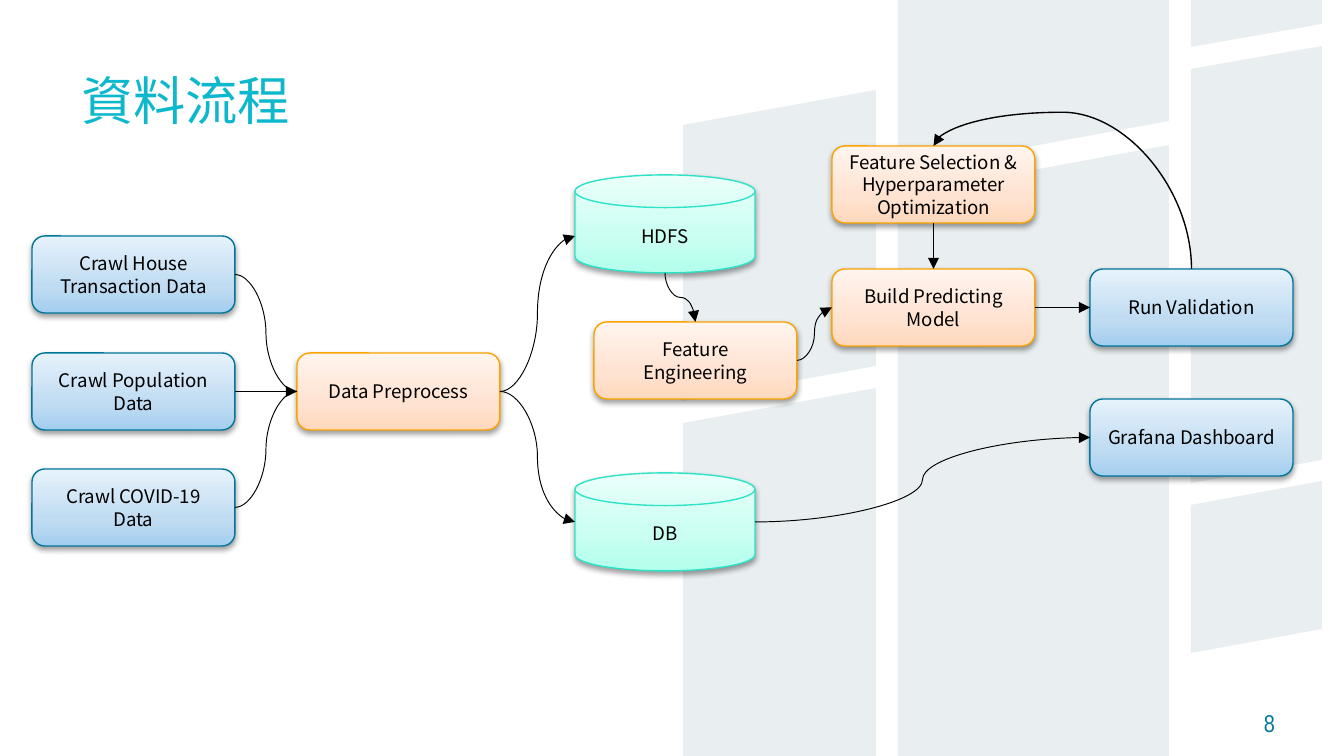
from copy import deepcopy

from lxml.etree import SubElement
from pptx import Presentation
from pptx.dml.color import RGBColor
from pptx.enum.shapes import MSO_CONNECTOR, MSO_SHAPE
from pptx.enum.text import MSO_ANCHOR, MSO_AUTO_SIZE, PP_ALIGN
from pptx.oxml.ns import qn
from pptx.util import Emu, Pt

SCALE = 9144000 / 1344
BOX_WIDTH, BOX_HEIGHT = 203, 77
DISK_WIDTH, DISK_HEIGHT = 180, 98
TOP, LEFT, BOTTOM, RIGHT = range(4)

BLUE = ("00769B", ("A4CEEF", "C0DCF2", "E6F2FB"))
ORANGE = ("FDA300", ("FFD8BD", "FFE3D1", "FFF4EE"))
GREEN = ("2DE3C7", ("B2FFEC", "C8FFF1", "EAFFFA"))


def px(length):
    """Turn px into EMU."""
    return Emu(round(length * SCALE))


def color(value):
    """Turn a hex string into a colour."""
    return RGBColor.from_string(value)


def apply(target, **values):
    """Set attributes from format values."""
    for name, value in values.items():
        setattr(target, name, value)


class FlowSlide:
    """Style and current slide of the data flow."""

    label_font = "Noto Sans CJK TC"
    title_font = "Noto Sans CJK SC"
    number_font = "Arial Narrow"
    text_color = "000000"
    panel_color = "E9EEF0"

    def __init__(self, presentation):
        """Add a slide that holds only a title."""
        self.slide = presentation.slides.add_slide(presentation.slide_layouts[5])
        self.shapes = self.slide.shapes

    def set_text(self, shape, text, size, font, hex_color, spacing=None,
                 align=PP_ALIGN.CENTER, anchor=MSO_ANCHOR.MIDDLE, side=0, top=0):
        """Put formatted text into a shape."""
        frame = shape.text_frame
        frame.text = text
        apply(frame, word_wrap=True, auto_size=MSO_AUTO_SIZE.NONE,
              vertical_anchor=anchor, margin_left=px(side), margin_right=px(side),
              margin_top=px(top), margin_bottom=0)
        for paragraph in frame.paragraphs:
            apply(paragraph, alignment=align, line_spacing=spacing)
            for run in paragraph.runs:
                apply(run.font, size=Pt(size), name=font)
                run.font.color.rgb = color(hex_color)
                SubElement(run.font._element, qn("a:ea"), typeface=font)

    def title(self, text, x, y, width, height):
        """Place the title."""
        title = self.shapes.title
        apply(title, left=px(x), top=px(y), width=px(width), height=px(height))
        self.set_text(title, text, 28, self.title_font, "0DB8CC", 0.9,
                      PP_ALIGN.LEFT, MSO_ANCHOR.BOTTOM)

    def number(self, text, x, y, width, height):
        """Place the slide number."""
        box = self.shapes.add_textbox(px(x), px(y), px(width), px(height))
        self.set_text(box, text, 13, self.number_font, "00799E")

    def panel(self, left, right, top_left, top_right, bottom_left, bottom_right):
        """Draw a slanted background panel."""
        builder = self.shapes.build_freeform(left, top_left, scale=SCALE)
        builder.add_line_segments(
            [(right, top_right), (right, bottom_right), (left, bottom_left)])
        panel = builder.convert_to_shape()
        panel.shadow.inherit = False
        panel.fill.solid()
        panel.fill.fore_color.rgb = color(self.panel_color)
        panel.line.fill.background()

    def node(self, kind, x, y, width, height, palette):
        """Draw a gradient shape with a soft shadow."""
        line_color, stop_colors = palette
        shape = self.shapes.add_shape(kind, px(x), px(y), px(width), px(height))
        shape.line.color.rgb = color(line_color)
        shape.line.width = Pt(0.75)
        shape.fill.gradient()
        shape.fill.gradient_angle = 90
        stop_list = shape._element.spPr.find(".//" + qn("a:gsLst"))
        stop_list.append(deepcopy(stop_list[1]))
        for stop, value, position in zip(shape.fill.gradient_stops, stop_colors, (0, 0.35, 1)):
            stop.color.rgb = color(value)
            stop.position = position
        shape.shadow.inherit = False
        shadow = SubElement(shape._element.spPr.find(qn("a:effectLst")), qn("a:outerShdw"),
                            blurRad="40000", dist="20000", dir="5400000", rotWithShape="0")
        shadow_color = SubElement(shadow, qn("a:srgbClr"), val="000000")
        SubElement(shadow_color, qn("a:alpha"), val="38000")
        return shape

    def box(self, text, x, y, palette, side=7):
        """Draw a labelled step."""
        box = self.node(MSO_SHAPE.ROUNDED_RECTANGLE, x, y, BOX_WIDTH, BOX_HEIGHT, palette)
        self.set_text(box, text, 10, self.label_font, self.text_color, Pt(12), side=side)
        return box

    def disk(self, text, x, y, label_top, inset):
        """Draw a data store and return its label, which takes the arrows."""
        self.node(MSO_SHAPE.FLOWCHART_MAGNETIC_DISK, x, y, DISK_WIDTH, DISK_HEIGHT, GREEN)
        label = self.shapes.add_textbox(px(x), px(y + label_top), px(DISK_WIDTH),
                                        px(DISK_HEIGHT - label_top))
        self.set_text(label, text, 10, self.label_font, self.text_color, Pt(12), top=inset)
        return label

    def arrow(self, source, source_side, target, target_side, width=0.5,
              curved=True, head=True, bend=50000):
        """Connect two shapes, turning curves that start upward or downward."""
        kind = MSO_CONNECTOR.CURVE if curved else MSO_CONNECTOR.STRAIGHT
        arrow = self.shapes.add_connector(kind, 0, 0, 0, 0)
        arrow.begin_connect(source, source_side)
        arrow.end_connect(target, target_side)
        properties = arrow._element.spPr
        if curved:
            guides = properties.find(qn("a:prstGeom")).get_or_add_avLst()
            SubElement(guides, qn("a:gd"), name="adj1", fmla=f"val {bend}")
        if curved and source_side in (TOP, BOTTOM):
            middle_x = (arrow.begin_x + arrow.end_x) // 2
            middle_y = (arrow.begin_y + arrow.end_y) // 2
            apply(arrow,
                  begin_x=Emu(middle_x + middle_y - arrow.begin_y),
                  begin_y=Emu(middle_y - middle_x + arrow.begin_x),
                  end_x=Emu(middle_x + middle_y - arrow.end_y),
                  end_y=Emu(middle_y - middle_x + arrow.end_x))
            properties.find(qn("a:xfrm")).set("rot", "16200000")
        arrow.line.color.rgb = color(self.text_color)
        arrow.line.width = Pt(width)
        if head:
            SubElement(properties.find(qn("a:ln")), qn("a:tailEnd"), type="triangle")
        SubElement(properties, qn("a:effectLst"))


def main():
    """Build the data flow slide."""
    presentation = Presentation()
    apply(presentation, slide_width=px(1344), slide_height=px(756))
    flow = FlowSlide(presentation)

    for panel in (
        (683, 876, 125, 90, 401, 366),
        (683, 876, 423, 388, 756, 756),
        (898, 1169, 0, 0, 171, 121),
        (898, 1169, 195, 145, 756, 756),
        (1191, 1322, 0, 0, 47, 24),
        (1191, 1322, 69, 46, 483, 460),
        (1191, 1322, 505, 481, 653, 629),
    ):
        flow.panel(*panel)
    flow.title("資料流程", 81, 74, 898, 58)
    flow.number("8", 1228, 689, 83, 67)

    house = flow.box("Crawl House Transaction Data", 32, 236, BLUE)
    population = flow.box("Crawl Population Data", 32, 353, BLUE)
    covid = flow.box("Crawl COVID-19\nData", 32, 469, BLUE)
    preprocess = flow.box("Data Preprocess", 297, 353, ORANGE)
    database = flow.disk("DB", 575, 473, 0, 22)
    hdfs = flow.disk("HDFS", 575, 175, 24, 0)
    dashboard = flow.box("Grafana Dashboard", 1090, 399, BLUE)
    validation = flow.box("Run Validation", 1090, 269, BLUE)
    engineering = flow.box("Feature Engineering", 594, 322, ORANGE, side=20)
    model = flow.box("Build Predicting Model", 832, 269, ORANGE)
    selection = flow.box("Feature Selection & Hyperparameter Optimization", 832, 146, ORANGE)

    flow.arrow(population, RIGHT, preprocess, LEFT, curved=False)
    for crawl in (house, covid):
        flow.arrow(crawl, RIGHT, preprocess, LEFT, head=False)
    for store in (hdfs, database):
        flow.arrow(preprocess, RIGHT, store, LEFT)
    flow.arrow(hdfs, BOTTOM, engineering, TOP)
    flow.arrow(database, RIGHT, dashboard, LEFT)
    flow.arrow(engineering, RIGHT, model, LEFT)
    flow.arrow(validation, TOP, selection, TOP, width=0.75, bend=127400)
    flow.arrow(model, RIGHT, validation, LEFT, width=0.75, curved=False)
    flow.arrow(selection, BOTTOM, model, TOP, width=0.75, curved=False)

    presentation.save("out.pptx")


if __name__ == "__main__":
    main()
